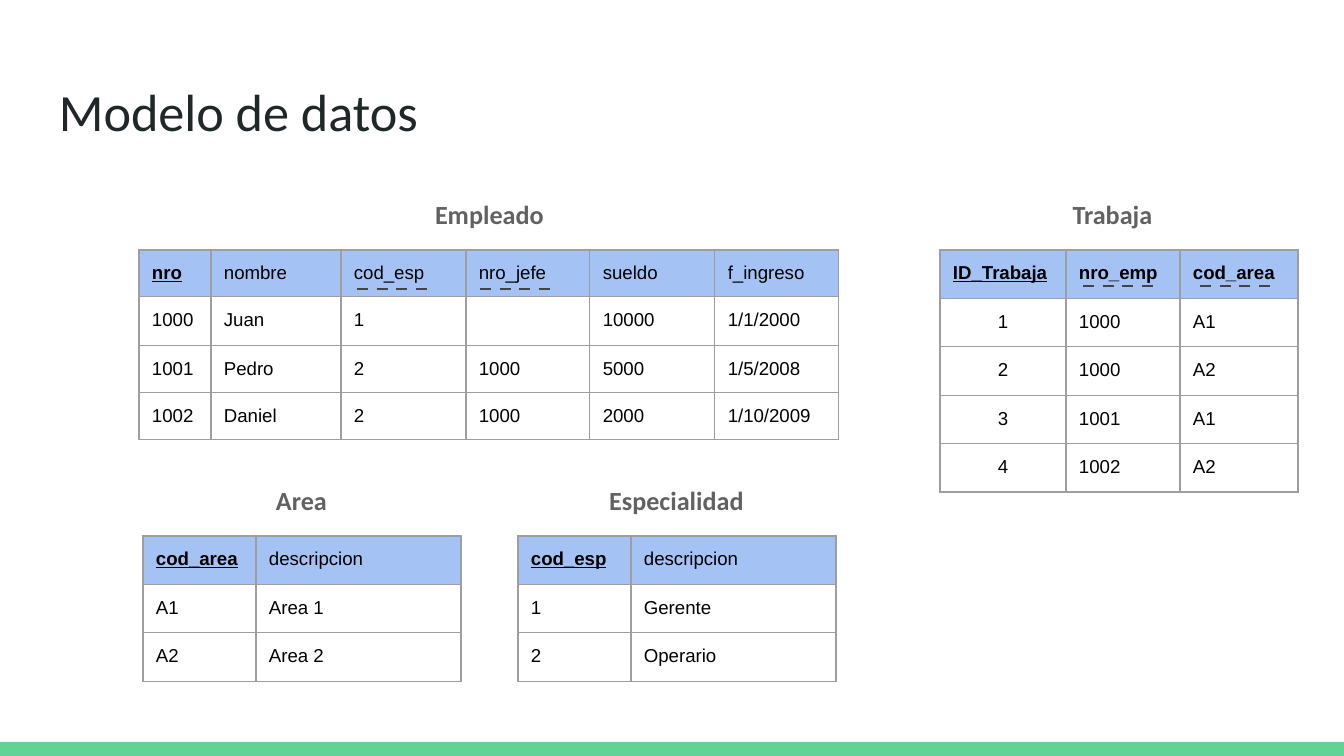
from lxml import etree
from pptx import Presentation
from pptx import util as u
from pptx.dml.color import RGBColor
from pptx.enum import dml, shapes, text
from pptx.oxml import ns

WHITE = RGBColor(0xFF, 0xFF, 0xFF)
GREEN = RGBColor(0x63, 0xD2, 0x97)
INK = RGBColor(0x20, 0x27, 0x29)
CAPTION = RGBColor(0x61, 0x61, 0x61)
HEADER = RGBColor(0xA4, 0xC2, 0xF4)
BORDER = RGBColor(0x9E, 0x9E, 0x9E)
DASH = RGBColor(0x43, 0x43, 0x43)
BLACK = RGBColor(0, 0, 0)

ROW_H, FRAME_ROW_H = 44, 49


def px(n):
    return u.Emu(round(n * 914400 / 134.4))


PAD = px(13)


def write(tf, words, font="Arial", size=10, color=BLACK, bold=False,
          underline=False, align=text.PP_ALIGN.LEFT):
    p = tf.paragraphs[0]
    p.alignment = align
    if not words:
        # An empty paragraph still needs its size, or the row grows
        etree.SubElement(p._p, ns.qn("a:endParaRPr"), sz=str(size * 100))
        return p
    r = p.add_run()
    r.text = words
    r.font.name, r.font.size = font, u.Pt(size)
    r.font.bold, r.font.underline = bold, underline
    r.font.color.rgb = color
    return p


prs = Presentation()
prs.slide_width, prs.slide_height = px(1344), px(756)
s = prs.slides.add_slide(prs.slide_layouts[5])
s.background.fill.solid()
s.background.fill.fore_color.rgb = WHITE

bar = s.shapes.add_shape(shapes.MSO_SHAPE.RECTANGLE, 0, px(742), px(1344), px(14))
bar.shadow.inherit = False
bar.fill.solid()
bar.fill.fore_color.rgb = GREEN
bar.line.fill.background()

title = s.shapes.title
title.left, title.top, title.width, title.height = px(46), px(66), px(1253), px(85)
tf = title.text_frame
tf.margin_left = tf.margin_top = tf.margin_right = tf.margin_bottom = PAD
tf.vertical_anchor = text.MSO_ANCHOR.TOP
tf.auto_size = text.MSO_AUTO_SIZE.NONE
write(tf, "Modelo de datos", font="Calibri", size=28, color=INK)

# caption, caption left, table left, table top, column widths, key columns:
# primary key is bold and underlined, "bold" columns are bold only
tables = [
    ("Empleado", 357, 139, 250, [72, 130, 125, 124, 125, 124], ["nro"], [
        ["nro", "nombre", "cod_esp", "nro_jefe", "sueldo", "f_ingreso"],
        ["1000", "Juan", "1", "", "10000", "1/1/2000"],
        ["1001", "Pedro", "2", "1000", "5000", "1/5/2008"],
        ["1002", "Daniel", "2", "1000", "2000", "1/10/2009"]]),
    ("Trabaja", 980, 940, 250, [126, 114, 118], ["ID_Trabaja", "nro_emp", "cod_area"], [
        ["ID_Trabaja", "nro_emp", "cod_area"],
        ["1", "1000", "A1"],
        ["2", "1000", "A2"],
        ["3", "1001", "A1"],
        ["4", "1002", "A2"]]),
    ("Area", 169, 143, 536, [113, 205], ["cod_area"], [
        ["cod_area", "descripcion"],
        ["A1", "Area 1"],
        ["A2", "Area 2"]]),
    ("Especialidad", 544, 518, 536, [113, 205], ["cod_esp"], [
        ["cod_esp", "descripcion"],
        ["1", "Gerente"],
        ["2", "Operario"]]),
]

for caption, caption_x, x, y, widths, keys, rows in tables:
    frame = s.shapes.add_table(len(rows), len(widths), px(x), px(y),
                               px(sum(widths)), px(ROW_H * len(rows)))
    table = frame.table
    table.first_row = table.horz_banding = False
    for column, width in zip(table.columns, widths):
        column.width = px(width)
    for i, row in enumerate(rows):
        table.rows[i].height = px(ROW_H)
        for j, words in enumerate(row):
            cell = table.cell(i, j)
            cell.margin_left = cell.margin_top = PAD
            cell.margin_right = cell.margin_bottom = PAD
            for side in ("lnL", "lnR", "lnT", "lnB"):
                ln = etree.SubElement(cell._tc.get_or_add_tcPr(),
                                      ns.qn(f"a:{side}"), w=str(u.Pt(0.75)))
                fill = etree.SubElement(ln, ns.qn("a:solidFill"))
                etree.SubElement(fill, ns.qn("a:srgbClr"), val=str(BORDER))
            if i == 0:
                cell.fill.solid()
                cell.fill.fore_color.rgb = HEADER
            else:
                cell.fill.background()
            centred = caption == "Trabaja" and i > 0 and j == 0
            write(cell.text_frame, words,
                  bold=i == 0 and words in keys,
                  underline=i == 0 and j == 0,
                  align=text.PP_ALIGN.CENTER if centred else text.PP_ALIGN.LEFT)
    frame.height = px(FRAME_ROW_H * len(rows))

    tf = s.shapes.add_textbox(px(caption_x), px(y - 69), px(265), px(56)).text_frame
    tf.word_wrap = True
    tf.margin_left = tf.margin_top = tf.margin_right = tf.margin_bottom = PAD
    p = write(tf, caption, font="Calibri", size=14, color=CAPTION, bold=True,
              align=text.PP_ALIGN.CENTER)
    p.line_spacing, p.space_after = 1.15, u.Pt(16)

# Dashed underlines mark the foreign keys
for x1, x2, y in [(357, 429, 289), (480, 555, 289), (1200, 1275, 286), (1083, 1158, 286)]:
    line = s.shapes.add_connector(shapes.MSO_CONNECTOR.STRAIGHT, px(x1), px(y), px(x2), px(y))
    line.line.color.rgb = DASH
    line.line.width = u.Pt(1.5)
    line.line.dash_style = dml.MSO_LINE.DASH
    etree.SubElement(line._element.spPr, ns.qn("a:effectLst"))

prs.save("out.pptx")
